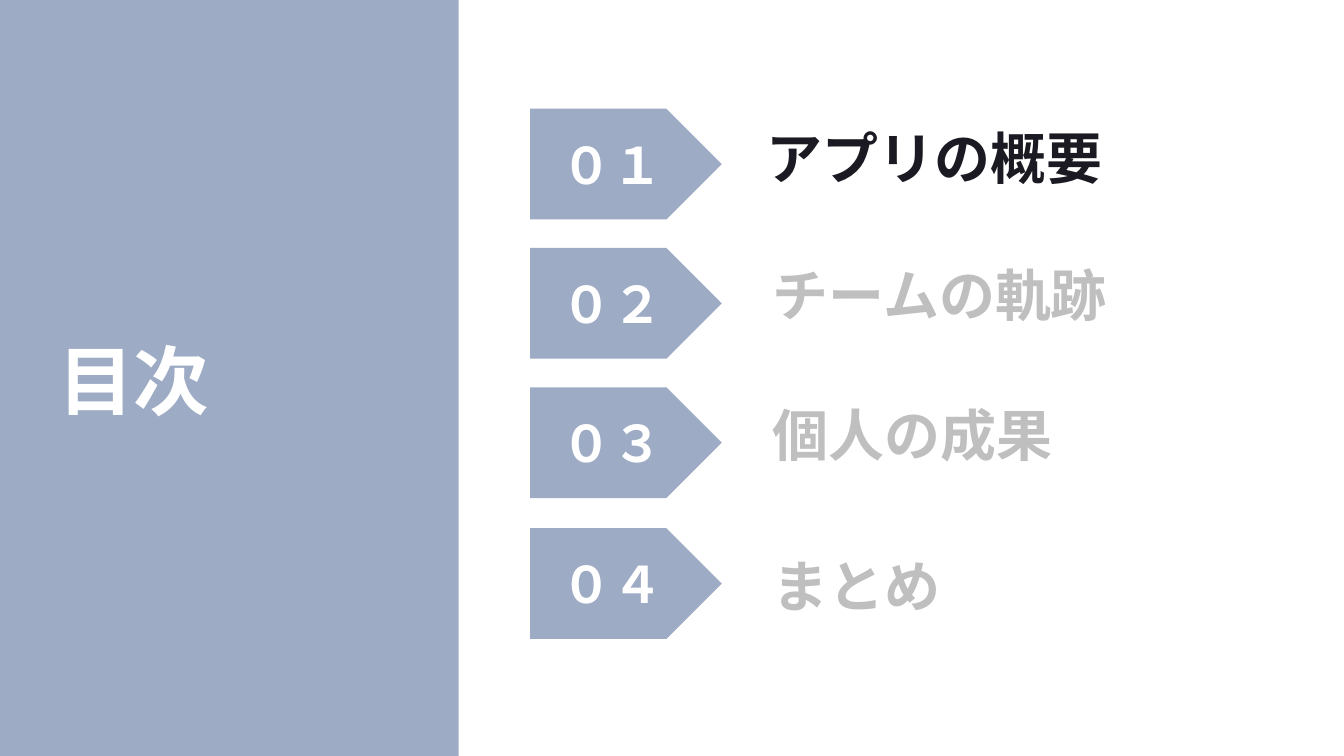
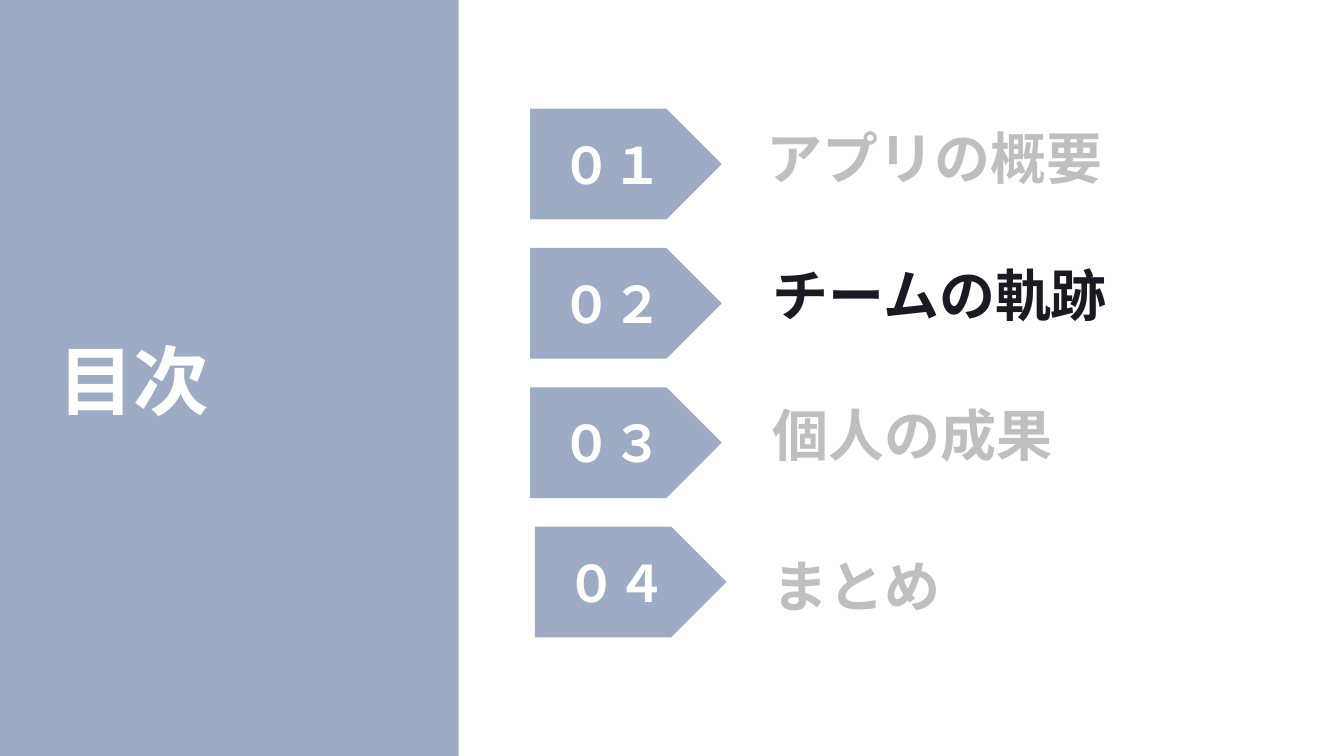
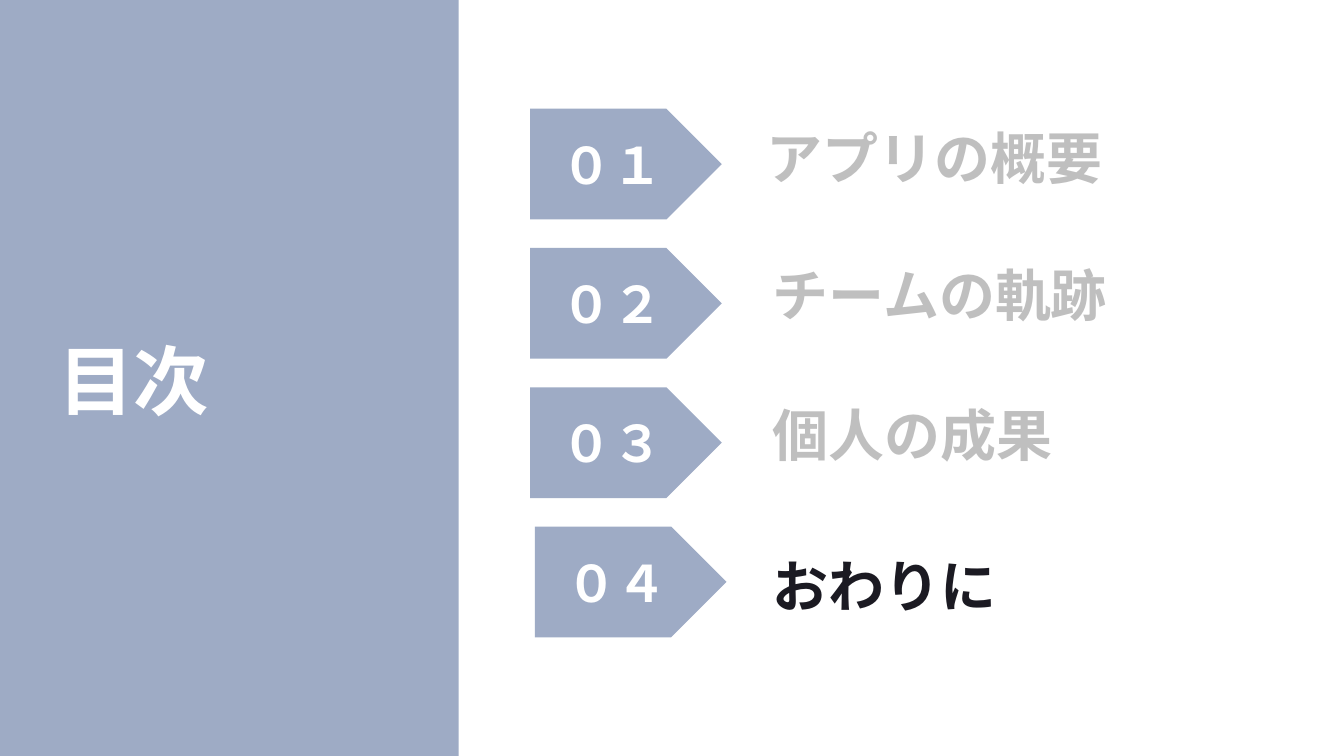
import pptx
import pptx.dml.color
import pptx.enum.shapes
import pptx.enum.text
import pptx.oxml.ns
import pptx.util
from lxml import etree

Cm = pptx.util.Cm
SHAPE = pptx.enum.shapes.MSO_SHAPE
ALIGN = pptx.enum.text.PP_ALIGN
ANCHOR = pptx.enum.text.MSO_ANCHOR
FIT = pptx.enum.text.MSO_AUTO_SIZE

FONT = "Noto Sans CJK JP"
BLUE, WHITE, DARK, GRAY = "9EABC5", "FFFFFF", "1B1A22", "BFBFBF"

TITLE = "目次"
NUMBERS = ["０１", "０２", "０３", "０４"]
TOPICS = ["アプリの概要", "チームの軌跡", "個人の成果"]
AGENDAS = [
    {"last": "まとめ", "current": 0, "last_shift": (0, 0.04)},
    {"last": "まとめ", "current": 1, "last_shift": (0.12, 0)},
    {"last": "おわりに", "current": 3, "last_shift": (0.12, 0)},
]
LABEL_BOXES = [
    (19.08, 3.0, 10.26, 1.96),
    (19.23, 6.45, 11.02, 1.96),
    (19.23, 9.96, 9.35, 1.96),
    (19.23, 13.77, 9.78, 1.96),
]
ARROW_LEFT, ARROW_TOP, ARROW_STEP = 13.36, 2.74, 3.51
ARROW_WIDTH, ARROW_HEIGHT = 4.83, 2.79


def rgb(value):
    return pptx.dml.color.RGBColor.from_string(value)


def write(shape, text, size, color, align=ALIGN.LEFT, anchor=ANCHOR.MIDDLE):
    tf = shape.text_frame
    tf.text = text
    tf.word_wrap = True
    tf.vertical_anchor = anchor
    p = tf.paragraphs[0]
    p.alignment = align
    font = p.runs[0].font
    font.name, font.size, font.bold = FONT, pptx.util.Pt(size), True
    font.color.rgb = rgb(color)
    rPr = p.runs[0]._r.get_or_add_rPr()
    etree.SubElement(rPr, pptx.oxml.ns.qn("a:ea"), typeface=FONT)
    return tf


def add_block(s, kind, box):
    block = s.shapes.add_shape(kind, *map(Cm, box))
    block.shadow.inherit = False
    block.fill.solid()
    block.fill.fore_color.rgb = rgb(BLUE)
    block.line.fill.background()
    return block


def add_title_panel(s):
    add_block(s, SHAPE.RECTANGLE, (0, 0, 11.56, 19.05))
    title = s.shapes.add_textbox(Cm(1.22), Cm(2.44), Cm(9.09), Cm(14.5))
    write(title, TITLE, 54, WHITE).paragraphs[0].line_spacing = 0.9


def add_agenda(s, agenda):
    topics = TOPICS + [agenda["last"]]
    for i, (number, topic, box) in enumerate(zip(NUMBERS, topics, LABEL_BOXES)):
        dx, dy = agenda["last_shift"] if i == len(topics) - 1 else (0, 0)
        arrow = add_block(s, SHAPE.PENTAGON, (
            ARROW_LEFT + dx, ARROW_TOP + i * ARROW_STEP + dy,
            ARROW_WIDTH, ARROW_HEIGHT))
        write(arrow, number, 36, WHITE, ALIGN.CENTER)
        label = s.shapes.add_textbox(*map(Cm, box))
        color = DARK if i == agenda["current"] else GRAY
        tf = write(label, topic, 40, color, anchor=ANCHOR.TOP)
        tf.auto_size = FIT.SHAPE_TO_FIT_TEXT


def main():
    prs = pptx.Presentation()
    prs.slide_width, prs.slide_height = Cm(33.87), Cm(19.05)
    for agenda in AGENDAS:
        s = prs.slides.add_slide(prs.slide_layouts[6])
        add_title_panel(s)
        add_agenda(s, agenda)
    prs.save("out.pptx")


if __name__ == "__main__":
    main()
